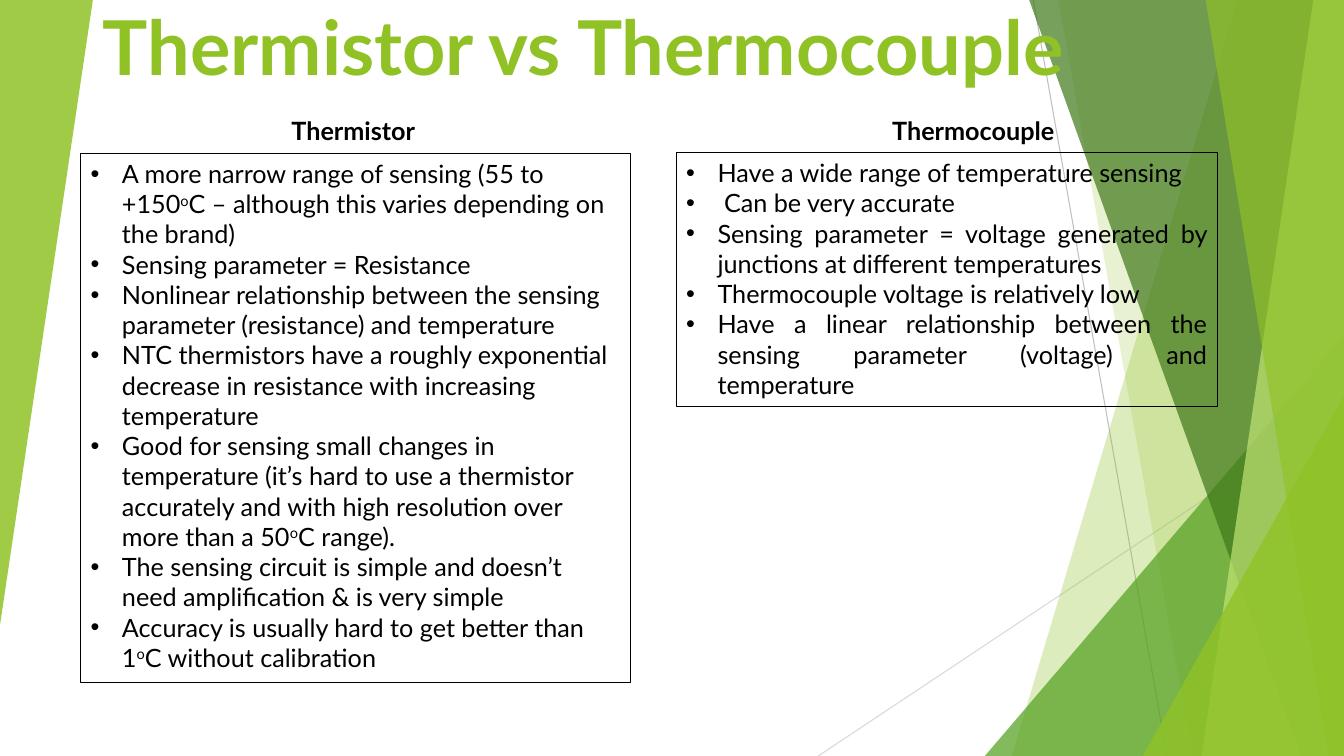
from lxml import etree
from pptx import Presentation
from pptx.dml.color import RGBColor
from pptx.enum.shapes import MSO_CONNECTOR, MSO_SHAPE
from pptx.enum.text import MSO_ANCHOR, MSO_AUTO_SIZE, PP_ALIGN
from pptx.oxml.ns import qn
from pptx.util import Cm, Pt

STRAIGHT = MSO_CONNECTOR.STRAIGHT
TRIANGLE = MSO_SHAPE.ISOSCELES_TRIANGLE
TOP, BOTTOM = MSO_ANCHOR.TOP, MSO_ANCHOR.BOTTOM
NO_FIT = MSO_AUTO_SIZE.NONE
LEFT, JUSTIFY = PP_ALIGN.LEFT, PP_ALIGN.JUSTIFY

FONT = "Lato"
COLORS = {
    "lime": "90C226", "green": "54A021", "forest": "3F7819", "pale": "C0E474",
    "black": "000000", "gray": "BFBFBF", "light_gray": "D9D9D9",
}
SLIDE_W, SLIDE_H = 33.87, 19.05
SHARD_TOP = -0.02
COMPARISON_LAYOUT = 4

# Thin lines: start x, start y, end x, end y, colour
LINES = [
    (26.04, 0, 29.41, SLIDE_H, "gray"),
    (SLIDE_W, 10.24, 20.62, SLIDE_H, "light_gray"),
]
# Shards: (left x at top, left x at bottom); triangles: (x, y, w, h, rotation)
FACETS = [
    ((31.19, 25.5), "lime", 30),
    ((26.67, 30.05), "lime", 20),
    ((24.82, 8.46, 9.05, 10.59, 0), "green", 72),
    ((25.93, 32.79), "forest", 70),
    ((33.1, 30.28), "pale", 70),
    ((30.38, 33.48), "lime", 65),
    ((28.8, 9.98, 5.07, 9.07, 0), "lime", 80),
    ((0, 0, 2.34, 15.75, 180), "lime", 85),
]

# Each item is a list of runs; DEGREE is set as a superscript
DEGREE = "o"
THERMISTOR = [
    ["A more narrow range of sensing (55 to +150", DEGREE,
     "C – although this varies depending on the brand)"],
    ["Sensing parameter = Resistance"],
    ["Nonlinear relationship between the sensing parameter (resistance) and temperature"],
    ["NTC thermistors have a roughly exponential decrease in resistance "
     "with increasing temperature"],
    ["Good for sensing small changes in temperature (it’s hard to use a thermistor "
     "accurately and with high resolution over more than a 50", DEGREE, "C range)."],
    ["The sensing circuit is simple and doesn’t need amplification & is very simple"],
    ["Accuracy is usually hard to get better than 1", DEGREE, "C without calibration"],
]
THERMOCOUPLE = [
    ["Have a wide range of temperature sensing"],
    [" Can be very accurate"],
    ["Sensing parameter = voltage generated by junctions at different temperatures"],
    ["Thermocouple voltage is relatively low"],
    ["Have a linear relationship between the sensing parameter (voltage) and temperature"],
]


def rgb(name):
    return RGBColor.from_string(COLORS[name])


def add_line(slide, x1, y1, x2, y2, color):
    line = slide.shapes.add_connector(STRAIGHT, Cm(x1), Cm(y1), Cm(x2), Cm(y2))
    line.line.color.rgb = rgb(color)
    line.line.width = Pt(0.75)
    etree.SubElement(line._element.spPr, qn("a:effectLst"))


def paint(sp, color, opacity):
    sp.shadow.inherit = False
    sp.line.fill.background()
    sp.fill.solid()
    sp.fill.fore_color.rgb = rgb(color)
    clr = sp._element.spPr.find(qn("a:solidFill"))[0]
    etree.SubElement(clr, qn("a:alpha"), val=str(opacity * 1000))


def add_shard(slide, top_x, bottom_x):
    builder = slide.shapes.build_freeform(Cm(top_x), Cm(SHARD_TOP))
    corners = [(SLIDE_W, SHARD_TOP), (SLIDE_W, SLIDE_H), (bottom_x, SLIDE_H)]
    builder.add_line_segments([(Cm(x), Cm(y)) for x, y in corners], close=True)
    return builder.convert_to_shape()


def add_triangle(slide, x, y, w, h, rotation):
    sp = slide.shapes.add_shape(TRIANGLE, Cm(x), Cm(y), Cm(w), Cm(h))
    sp.adjustments[0] = 1
    sp.rotation = rotation
    return sp


def place(sp, x, y, w, h, anchor):
    """Position a placeholder in front of everything drawn so far."""
    sp.left, sp.top, sp.width, sp.height = Cm(x), Cm(y), Cm(w), Cm(h)
    sp._element.getparent().append(sp._element)
    tf = sp.text_frame
    tf.word_wrap = True
    tf.auto_size = NO_FIT
    tf.vertical_anchor = anchor
    return tf


def add_run(p, text, size, color, bold=False):
    r = p.add_run()
    r.text = text
    r.font.name = FONT
    r.font.size = Pt(size)
    r.font.bold = bold
    r.font.color.rgb = rgb(color)
    return r


def fill_heading(sp, box, text, size, color, anchor):
    p = place(sp, *box, anchor).paragraphs[0]
    p.alignment = LEFT
    p.space_before = Pt(0)
    add_run(p, text, size, color, bold=True)


def set_bullet(p):
    pPr = p._p.get_or_add_pPr()
    pPr.set("marL", str(Cm(0.79)))
    pPr.set("indent", str(-Cm(0.79)))
    etree.SubElement(pPr, qn("a:buFont"), typeface="Arial")
    etree.SubElement(pPr, qn("a:buChar"), char="•")


def fill_list(sp, box, items, alignment):
    tf = place(sp, *box, TOP)
    sp.line.color.rgb = rgb("black")
    sp.line.width = Pt(0.75)
    for i, runs in enumerate(items):
        p = tf.add_paragraph() if i else tf.paragraphs[0]
        set_bullet(p)
        p.alignment = alignment
        p.space_before = Pt(0)
        for text in runs:
            r = add_run(p, text, 18, "black")
            if text == DEGREE:
                r._r.get_or_add_rPr().set("baseline", "30000")


def main():
    prs = Presentation()
    prs.slide_width, prs.slide_height = Cm(SLIDE_W), Cm(SLIDE_H)
    slide = prs.slides.add_slide(prs.slide_layouts[COMPARISON_LAYOUT])

    # Faceted background
    for line in LINES:
        add_line(slide, *line)
    for geometry, color, opacity in FACETS:
        add_facet = add_shard if len(geometry) == 2 else add_triangle
        paint(add_facet(slide, *geometry), color, opacity)

    # Title
    title, left_head, left_list, right_head, right_list = slide.placeholders
    fill_heading(title, (2.34, -0.02, 31.83, 2.44),
                 "Thermistor vs Thermocouple", 54, "lime", BOTTOM)

    # Bordered lists
    fill_list(left_list, (2.03, 3.86, 13.87, 13.34), THERMISTOR, LEFT)
    fill_list(right_list, (17.04, 3.84, 13.64, 6.4), THERMOCOUPLE, JUSTIFY)

    # Column headings
    for sp, x, text in [(left_head, 7.09, "Thermistor"),
                        (right_head, 22.23, "Thermocouple")]:
        fill_heading(sp, (x, 2.77, 5.77, 1.02), text, 18, "black", TOP)

    prs.save("out.pptx")


if __name__ == "__main__":
    main()
